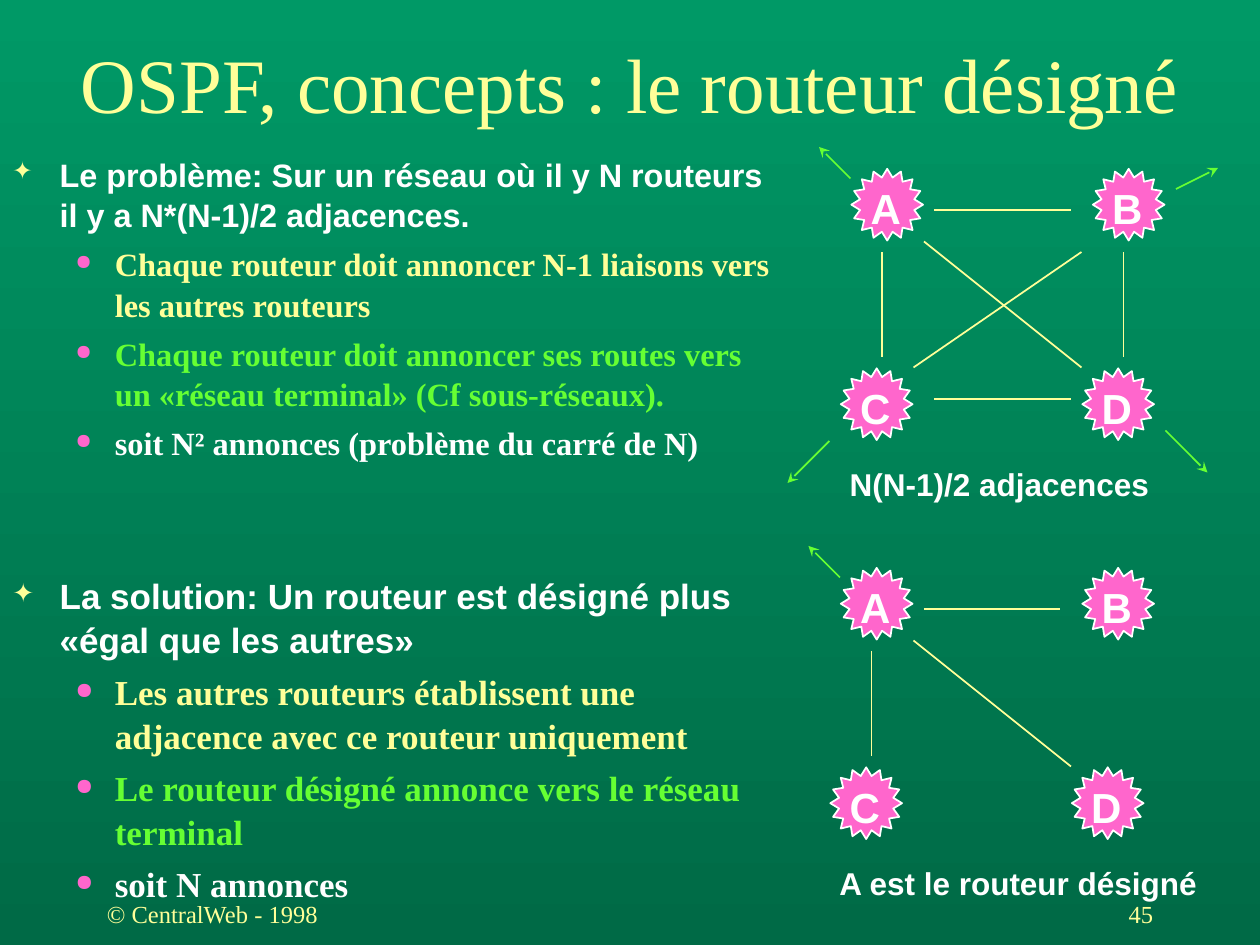
from lxml.etree import SubElement
from pptx import Presentation
from pptx.dml.color import RGBColor
from pptx.enum.shapes import MSO_CONNECTOR, MSO_SHAPE
from pptx.enum.text import MSO_ANCHOR, MSO_AUTO_SIZE, PP_ALIGN
from pptx.oxml.ns import qn
from pptx.util import Pt

COLORS = {
    "top": "009966",
    "bottom": "006A46",
    "yellow": "FFFF99",
    "green": "66FF33",
    "white": "FFFFFF",
    "pink": "FF66CC",
}
SANS, SERIF = "Arial", "Times New Roman"

# Bullet styles: left margin, hanging indent, sign, colour, size in percent
TOPIC = (27, 27, "✦", "yellow", 75)
POINT = (58.5, 22.5, "●", "pink", 65)

STAR = 41
COLUMN_GAP, ROW_GAP, ROW_SHIFT = 138, 114, -6

# Line ends, relative to the box of a diagram
LINKS = {
    "AB": (84, 36, 162, 36),
    "AC": (54, 60, 54, 120),
    "BD": (192, 60, 192, 120),
    "CD": (84, 144, 162, 144),
    "AD": (78, 54, 168, 126),
    "CB": (72, 126, 168, 60),
}
ANNOUNCEMENTS = {
    "B": (222, 24, 246, 12),
    "D": (216, 162, 240, 186),
    "C": (24, 168, 0, 192),
    "A": (36, 18, 18, 0),
}


def rgb(name):
    return RGBColor.from_string(COLORS[name])


def add_bullet(paragraph, style):
    margin, hanging, sign, color, percent = style
    props = paragraph._p.get_or_add_pPr()
    props.set("marL", str(Pt(margin)))
    props.set("indent", str(-Pt(hanging)))
    tint = SubElement(props, qn("a:buClr"))
    SubElement(tint, qn("a:srgbClr"), val=COLORS[color])
    SubElement(props, qn("a:buSzPct"), val=str(percent * 1000))
    SubElement(props, qn("a:buChar"), char=sign)


def write(paragraph, text, size=18, font=SANS, color="white", bold=False,
          align=PP_ALIGN.LEFT, bullet=None):
    if bullet:
        add_bullet(paragraph, bullet)
    paragraph.alignment = align
    run = paragraph.add_run()
    run.text = text
    run.font.size = Pt(size)
    run.font.name = font
    run.font.bold = bold
    run.font.color.rgb = rgb(color)


def add_frame(slide, box, wrap=True, anchor=MSO_ANCHOR.TOP):
    frame = slide.shapes.add_textbox(*map(Pt, box)).text_frame
    frame.word_wrap = wrap
    frame.vertical_anchor = anchor
    if not wrap:
        frame.auto_size = MSO_AUTO_SIZE.SHAPE_TO_FIT_TEXT
    return frame


def add_text(slide, box, text, wrap=True, anchor=MSO_ANCHOR.TOP, **style):
    write(add_frame(slide, box, wrap, anchor).paragraphs[0], text, **style)


def add_argument(slide, box, size, topic, points):
    """Place a topic and its bulleted points."""
    frame = add_frame(slide, box)
    lines = [(topic, SANS, "white", TOPIC)]
    for point, color in zip(points, ("yellow", "green", "white")):
        lines.append((point, SERIF, color, POINT))
    for index, (text, font, color, bullet) in enumerate(lines):
        paragraph = frame.add_paragraph() if index else frame.paragraphs[0]
        write(paragraph, text, size=size, font=font, color=color, bold=True,
              bullet=bullet)
        paragraph.line_spacing = 1.045
        if index:
            paragraph.space_before = Pt(5)


def add_line(slide, left, top, ends, color, arrow=False):
    x1, y1, x2, y2 = ends
    line = slide.shapes.add_connector(
        MSO_CONNECTOR.STRAIGHT,
        Pt(left + x1), Pt(top + y1), Pt(left + x2), Pt(top + y2))
    line.line.color.rgb = rgb(color)
    line.line.width = Pt(1)
    if arrow:
        SubElement(line.line._get_or_add_ln(), qn("a:tailEnd"), type="stealth")
    SubElement(line._element.spPr, qn("a:effectLst"))


def add_router(slide, x, y, letter):
    """Place a router centred on x, y."""
    star = slide.shapes.add_shape(
        MSO_SHAPE.STAR_16_POINT,
        Pt(x - STAR / 2), Pt(y - STAR / 2), Pt(STAR), Pt(STAR))
    star.adjustments[0] = 0.385
    star.shadow.inherit = False
    star.fill.solid()
    star.fill.fore_color.rgb = rgb("pink")
    star.line.color.rgb = rgb("white")
    star.line.width = Pt(1)
    add_text(slide, (x - 16.5, y - 16, 31.7, 36), letter, wrap=False,
             size=24, bold=True)


def add_network(slide, box, links, announcers, caption):
    left, top, width, height = box
    for index, letter in enumerate("ABCD"):
        row, column = divmod(index, 2)
        add_router(slide,
                   left + 57 + column * COLUMN_GAP + row * ROW_SHIFT,
                   top + 33 + row * ROW_GAP, letter)
    for link in links:
        add_line(slide, left, top, LINKS[link], "yellow")
    for letter in announcers:
        add_line(slide, left, top, ANNOUNCEMENTS[letter], "green", arrow=True)
    add_text(slide, (left + 28.5, top + height - 29, width - 28.5, 29),
             caption, wrap=False, bold=True)


def add_footer(slide, box, credit, number):
    left, top, width, height = box
    style = {"size": 14, "font": SERIF, "color": "yellow",
             "anchor": MSO_ANCHOR.MIDDLE}
    add_text(slide, (left + width - 150, top, 150, height), number,
             align=PP_ALIGN.RIGHT, **style)
    add_text(slide, (left, top, 150, height), credit, **style)


def paint_background(slide):
    fill = slide.background.fill
    fill.gradient()
    fill.gradient_angle = 270
    for stop, color, position in zip(fill.gradient_stops,
                                     ("top", "bottom"), (0, 1)):
        stop.color.rgb = rgb(color)
        stop.position = position


def main():
    deck = Presentation()
    deck.slide_width, deck.slide_height = Pt(720), Pt(540)
    slide = deck.slides.add_slide(deck.slide_layouts[6])
    paint_background(slide)
    add_text(slide, (0, 22.5, 720, 49.5), "OSPF, concepts : le routeur désigné",
             size=44, font=SERIF, color="yellow", align=PP_ALIGN.CENTER,
             anchor=MSO_ANCHOR.MIDDLE)
    add_argument(
        slide, (0, 84, 450, 204), 18.5,
        "Le problème: Sur un réseau où il y N routeurs il y a N*(N-1)/2 adjacences.",
        ["Chaque routeur doit annoncer N-1 liaisons vers les autres routeurs",
         "Chaque routeur doit annoncer ses routes vers un «réseau terminal» "
         "(Cf sous-réseaux).",
         "soit N² annonces (problème du carré de N)"])
    add_network(slide, (450, 84, 214.5, 207), LINKS, ANNOUNCEMENTS,
                "N(N-1)/2 adjacences")
    add_argument(
        slide, (0, 324, 450, 186), 20,
        "La solution: Un routeur est désigné plus «égal que les autres»",
        ["Les autres routeurs établissent une adjacence avec ce routeur uniquement",
         "Le routeur désigné annonce vers le réseau terminal",
         "soit N annonces"])
    add_network(slide, (444, 312, 248, 207), ("AB", "AC", "AD"), "A",
                "A est le routeur désigné")
    add_footer(slide, (54, 504, 612, 36), "© CentralWeb - 1998", "45")
    deck.save("out.pptx")


if __name__ == "__main__":
    main()
